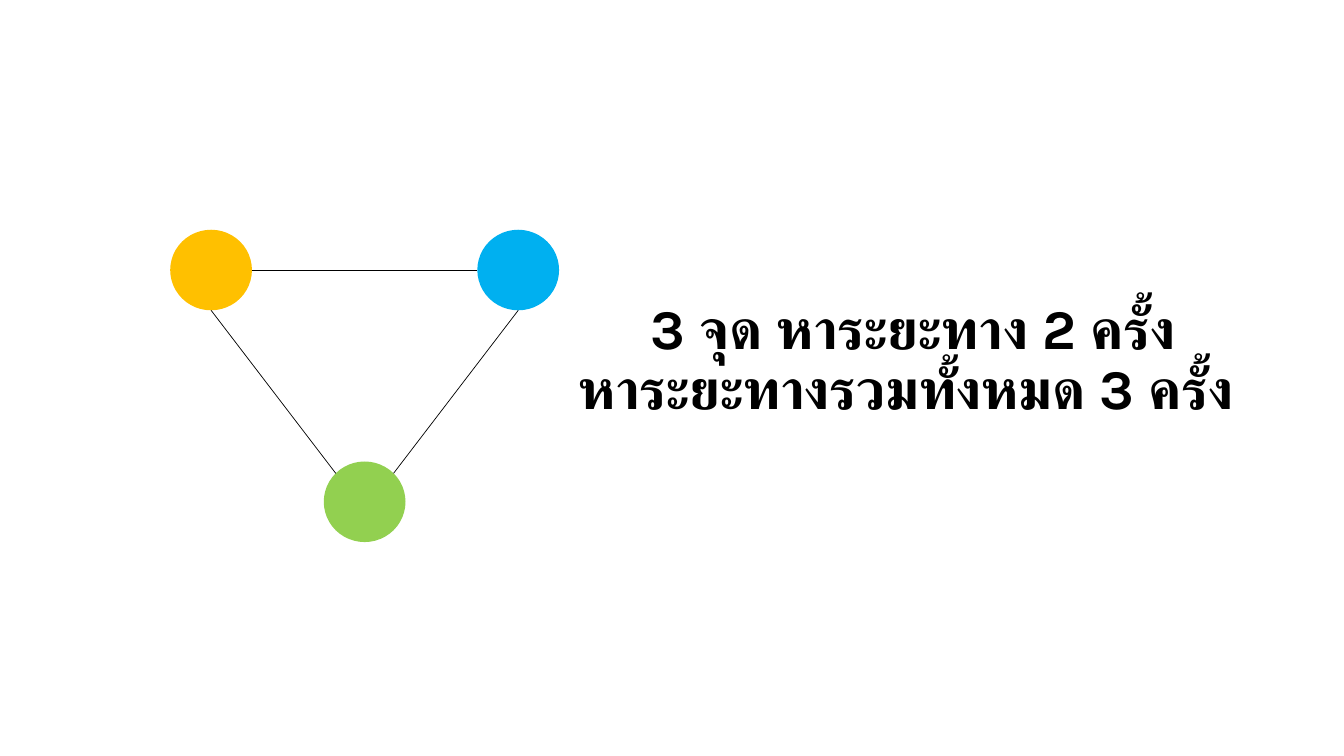
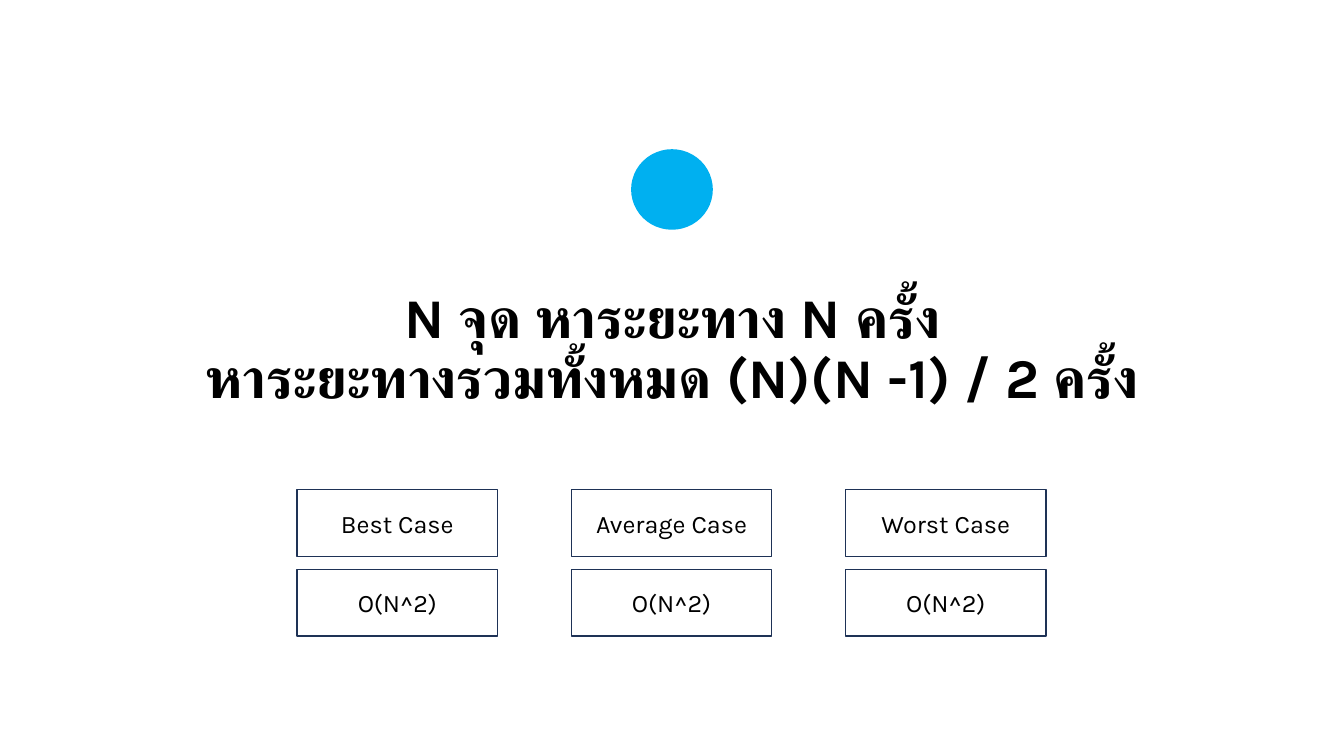
from dataclasses import dataclass
from math import sqrt

from lxml import etree
from pptx import Presentation
from pptx.dml.color import RGBColor
from pptx.enum import shapes, text
from pptx.oxml import ns
from pptx.util import Cm, Pt


@dataclass(frozen=True)
class Theme:
    font: str = "Karla"
    ink: str = "000000"
    paper: str = "FFFFFF"
    border: str = "1E3256"
    blue: str = "00B0F0"
    amber: str = "FFC000"
    green: str = "92D050"
    title_size: int = 40
    body_size: int = 18
    edge_width: float = 0.5
    border_width: float = 1


T = Theme()
SLIDE_W, SLIDE_H = 33.87, 19.05
DOT_W, DOT_H = 2.06, 2.03
TITLE_H = 1.4


def rgb(value):
    return RGBColor.from_string(value)


def style_paragraph(p, size, bold=False):
    p.alignment = text.PP_ALIGN.CENTER
    for r in p.runs:
        r.font.name = T.font
        r.font.size = Pt(size)
        r.font.bold = bold
        r.font.color.rgb = rgb(T.ink)
        # Thai takes its typeface from the complex-script entry
        cs = etree.SubElement(r.font._element, ns.qn("a:cs"))
        cs.set("typeface", T.font)


def add_title(s, left, top, width, lines):
    sp = s.shapes.add_textbox(Cm(left), Cm(top), Cm(width), Cm(TITLE_H))
    tf = sp.text_frame
    tf.word_wrap = True
    tf.vertical_anchor = text.MSO_ANCHOR.MIDDLE
    tf.text = "\n".join(lines)
    for p in tf.paragraphs:
        p.line_spacing = 0.9
        style_paragraph(p, T.title_size, bold=True)


def add_dot(s, left, top, color):
    sp = s.shapes.add_shape(shapes.MSO_SHAPE.OVAL,
                            Cm(left), Cm(top), Cm(DOT_W), Cm(DOT_H))
    sp.shadow.inherit = False
    sp.fill.solid()
    sp.fill.fore_color.rgb = rgb(color)
    sp.line.fill.background()


def add_edge(s, start, end):
    line = s.shapes.add_connector(shapes.MSO_CONNECTOR.STRAIGHT,
                                  *map(Cm, start + end))
    line.line.color.rgb = rgb(T.ink)
    line.line.width = Pt(T.edge_width)
    etree.SubElement(line._element.spPr, ns.qn("a:effectLst"))


def add_triangle(s, left, top, width, height):
    """Three dots joined by edges, with the apex at the bottom."""
    right = left + width - DOT_W
    apex_x = left + (width - DOT_W) / 2
    apex_y = top + height - DOT_H
    add_dot(s, right, top, T.blue)
    add_dot(s, left, top, T.amber)
    add_dot(s, apex_x, apex_y, T.green)

    rx, ry = DOT_W / 2, DOT_H / 2
    dx, dy = rx / sqrt(2), ry / sqrt(2)
    add_edge(s, (left + DOT_W, top + ry), (right, top + ry))
    touch_y = apex_y + ry - dy
    add_edge(s, (left + rx, top + DOT_H), (apex_x + rx - dx, touch_y))
    add_edge(s, (apex_x + rx + dx, touch_y), (right + rx, top + DOT_H))


def add_cell(group, left, top, width, height, label):
    sp = group.shapes.add_shape(shapes.MSO_SHAPE.RECTANGLE,
                                Cm(left), Cm(top), Cm(width), Cm(height))
    sp.shadow.inherit = False
    sp.fill.solid()
    sp.fill.fore_color.rgb = rgb(T.paper)
    sp.line.color.rgb = rgb(T.border)
    sp.line.width = Pt(T.border_width)
    tf = sp.text_frame
    tf.vertical_anchor = text.MSO_ANCHOR.MIDDLE
    tf.text = label
    style_paragraph(tf.paragraphs[0], T.body_size)


def add_case_grid(s, left, top, width, height, rows, gap_x=1.86, gap_y=0.33):
    cell_w = (width - gap_x * (len(rows[0]) - 1)) / len(rows[0])
    cell_h = (height - gap_y * (len(rows) - 1)) / len(rows)
    group = s.shapes.add_group_shape()
    for i, row in enumerate(rows):
        for j, label in enumerate(row):
            add_cell(group, left + j * (cell_w + gap_x),
                     top + i * (cell_h + gap_y), cell_w, cell_h, label)


def three_points_slide(s):
    add_triangle(s, 4.29, 5.79, 9.8, 7.87)
    add_title(s, 13.64, 8.41, 18.75,
              ["3 จุด หาระยะทาง 2 ครั้ง", "หาระยะทางรวมทั้งหมด 3 ครั้ง "])


def n_points_slide(s):
    add_dot(s, (SLIDE_W - DOT_W) / 2, 3.76, T.blue)
    add_title(s, 4.14, 8.13, 25.6,
              ["N จุด หาระยะทาง N ครั้ง",
               "หาระยะทางรวมทั้งหมด (N)(N -1) / 2 ครั้ง"])
    add_case_grid(s, 7.49, 12.34, 18.87, 3.69,
                  [["Best Case", "Average Case", "Worst Case"],
                   ["O(N^2)"] * 3])


def main():
    prs = Presentation()
    prs.slide_width, prs.slide_height = Cm(SLIDE_W), Cm(SLIDE_H)
    for build in (three_points_slide, n_points_slide):
        s = prs.slides.add_slide(prs.slide_layouts[6])
        s.background.fill.solid()
        s.background.fill.fore_color.rgb = rgb(T.paper)
        build(s)
    prs.save("out.pptx")


if __name__ == "__main__":
    main()
